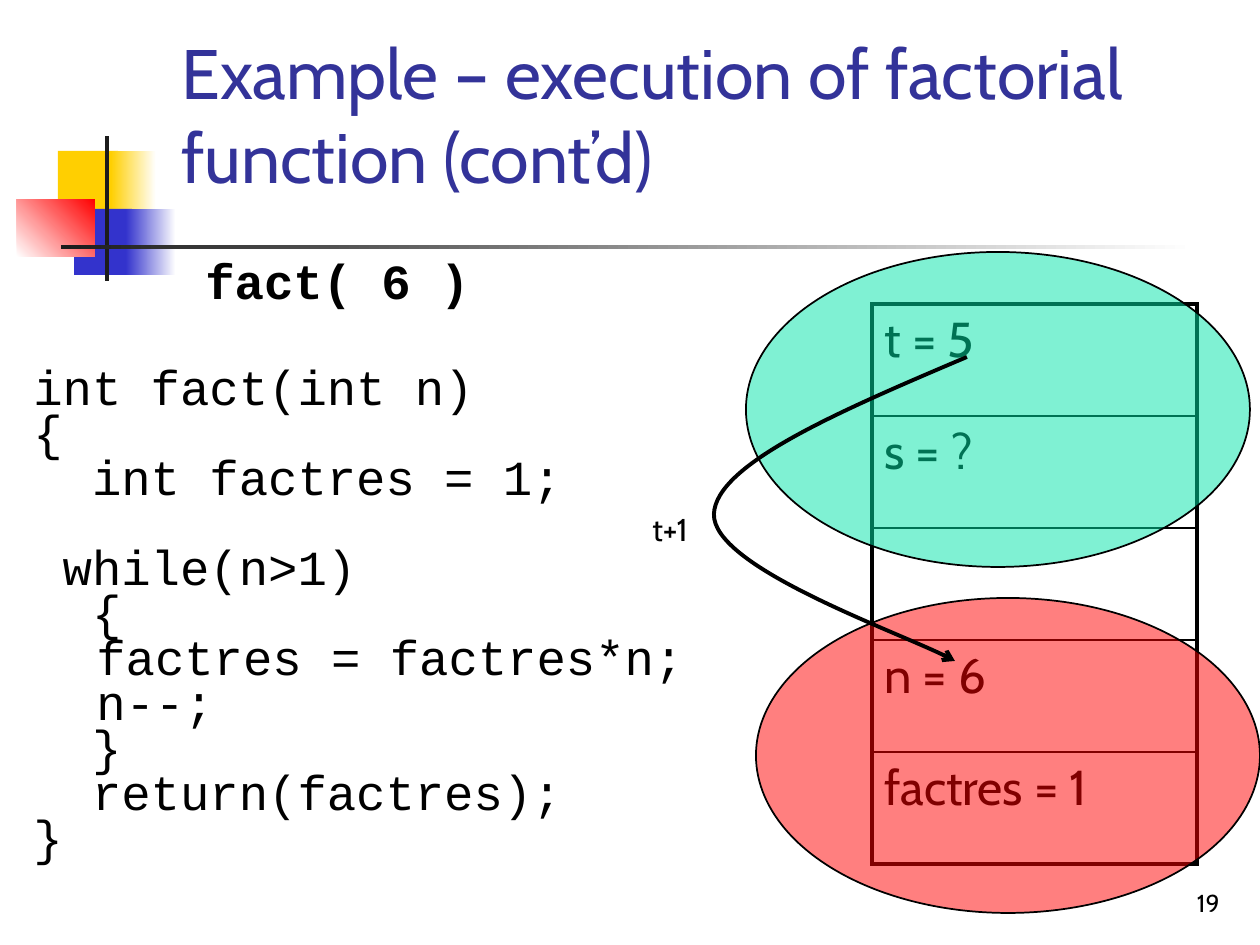
"""Build the slide on running a factorial function."""
from typing import NamedTuple, Optional

import lxml.etree
import pptx
import pptx.dml.color
import pptx.enum.shapes
import pptx.enum.text
import pptx.oxml.ns
import pptx.util

SCALE = 914400 / 126
KIND = pptx.enum.shapes.MSO_SHAPE
ALIGN = pptx.enum.text.PP_ALIGN
ANCHOR = pptx.enum.text.MSO_ANCHOR
LINE = 25.7
qn = pptx.oxml.ns.qn


class Box(NamedTuple):
    left: int
    top: int
    width: int
    height: int


class Block(NamedTuple):
    box: Box
    fill: str
    end: Optional[str] = None
    angle: int = 0


class Oval(NamedTuple):
    box: Box
    fill: str


class Label(NamedTuple):
    box: Box
    text: str
    size: int
    font: str = "Cabin"
    color: str = "000000"
    bold: bool = False
    align: ALIGN = ALIGN.LEFT
    anchor: ANCHOR = ANCHOR.TOP


class Code(NamedTuple):
    text: str
    gap: int = 0


BLOCKS = [
    Block(Box(58, 151, 60, 66), "FFCF01"),
    Block(Box(111, 151, 45, 66), "FFCF01", "FFFFFF"),
    Block(Box(74, 209, 58, 66), "3333CC"),
    Block(Box(126, 209, 50, 66), "3333CC", "FFFFFF"),
    Block(Box(17, 199, 78, 58), "FFFFFF", "FF0000", 45),
    Block(Box(105, 136, 4, 145), "1C1C1C"),
    Block(Box(61, 245, 1134, 4), "1C1C1C", "FFFFFF"),
]
OVALS = [
    Oval(Box(746, 252, 504, 315), "00E4A8"),
    Oval(Box(756, 598, 504, 315), "FF0000"),
]
LABELS = [
    Label(Box(970, 861, 262, 63), "19", 14, align=ALIGN.RIGHT, anchor=ANCHOR.BOTTOM),
    Label(Box(169, 29, 1021, 175), "Example – execution of factorial function (cont’d)",
          40, color="333399", anchor=ANCHOR.BOTTOM),
    Label(Box(640, 504, 147, 50), "t+1", 18),
    Label(Box(193, 244, 378, 72), "fact( 6 )", 28, "Courier New", bold=True),
]
CODE = [
    Code("int fact(int n)"),
    Code("{"),
    Code("  int factres = 1;"),
    Code(" while(n>1)", 1),
    Code("  {"),
    Code("\tfactres = factres*n;"),
    Code("\tn--;"),
    Code("  }"),
    Code("  return(factres);"),
    Code("}"),
]
CODE_BOX = Box(21, 364, 756, 528)
STACK = ["t = 5", "s = ?", "", "n = 6", "factres = 1"]
STACK_BOX = Box(872, 304, 325, 560)
CURVE = [(967, 357), (840, 411), (716, 464), (714, 514), (712, 566), (915, 638), (955, 661)]


def px(num: float) -> int:
    """Turn pixels into EMU."""
    return round(num * SCALE)


def place(box: Box) -> tuple:
    """Give the four lengths of a box in EMU."""
    return tuple(px(num) for num in box)


def rgb(code: str) -> pptx.dml.color.RGBColor:
    """Turn a hex string into a colour."""
    return pptx.dml.color.RGBColor.from_string(code)


def write(para, text: str, size: int, font: str = "Cabin",
          color: str = "000000", bold: bool = False) -> None:
    """Add one styled run to a paragraph."""
    run = para.add_run()
    run.text = text
    run.font.size = pptx.util.Pt(size)
    run.font.name = font
    run.font.bold = bold
    run.font.color.rgb = rgb(color)


def ink(shape, width: float) -> None:
    """Give a shape a black outline."""
    shape.line.color.rgb = rgb("000000")
    shape.line.width = pptx.util.Pt(width)


def draw_block(slide, block: Block) -> None:
    """Draw a plain or fading rectangle."""
    shape = slide.shapes.add_shape(KIND.RECTANGLE, *place(block.box))
    shape.shadow.inherit = False
    shape.line.fill.background()
    if block.end is None:
        shape.fill.solid()
        shape.fill.fore_color.rgb = rgb(block.fill)
        return
    shape.fill.gradient()
    shape.fill.gradient_angle = block.angle
    for stop, color in zip(shape.fill.gradient_stops, (block.fill, block.end)):
        stop.color.rgb = rgb(color)


def draw_oval(slide, oval: Oval) -> None:
    """Draw a half clear ellipse."""
    shape = slide.shapes.add_shape(KIND.OVAL, *place(oval.box))
    shape.shadow.inherit = False
    shape.fill.solid()
    shape.fill.fore_color.rgb = rgb(oval.fill)
    color = shape._element.spPr.find(qn("a:solidFill"))[0]
    lxml.etree.SubElement(color, qn("a:alpha"), val="50000")
    ink(shape, 1)


def draw_label(slide, label: Label) -> None:
    """Draw one line or title of text."""
    frame = slide.shapes.add_textbox(*place(label.box)).text_frame
    frame.word_wrap = True
    frame.vertical_anchor = label.anchor
    para = frame.paragraphs[0]
    para.alignment = label.align
    write(para, label.text, label.size, label.font, label.color, label.bold)


def draw_code(slide, box: Box, lines: list[Code]) -> None:
    """Draw the code listing at an even pitch."""
    frame = slide.shapes.add_textbox(*place(box)).text_frame
    frame.word_wrap = True
    for num, line in enumerate(lines):
        para = frame.add_paragraph() if num else frame.paragraphs[0]
        para.line_spacing = pptx.util.Pt(LINE)
        para.space_before = pptx.util.Pt(LINE * line.gap)
        write(para, line.text, 28, "Courier New")


def edge(cell, side: str, width: float) -> None:
    """Add one black border to a cell."""
    props = cell._tc.get_or_add_tcPr()
    line = lxml.etree.SubElement(props, qn(f"a:ln{side}"), w=str(pptx.util.Pt(width)))
    fill = lxml.etree.SubElement(line, qn("a:solidFill"))
    lxml.etree.SubElement(fill, qn("a:srgbClr"), val="000000")


def draw_stack(slide, box: Box, texts: list[str]) -> None:
    """Draw the memory stack as a table."""
    table = slide.shapes.add_table(len(texts), 1, *place(box)).table
    table.first_row = table.horz_banding = False
    last = len(texts) - 1
    for num, text in enumerate(texts):
        cell = table.cell(num, 0)
        edge(cell, "L", 2.25)
        edge(cell, "R", 2.25)
        edge(cell, "T", 2.25 if num == 0 else 1)
        edge(cell, "B", 2.25 if num == last else 1)
        cell.fill.background()
        if text:
            write(cell.text_frame.paragraphs[0], text, 28)


def draw_curve(slide, points: list[tuple[int, int]]) -> None:
    """Draw a curved arrow through Bezier points."""
    spots = [(px(x), px(y)) for x, y in points]
    form = slide.shapes.build_freeform(*spots[0])
    form.add_line_segments(spots[1:], close=False)
    shape = form.convert_to_shape()
    shape.shadow.inherit = False
    shape.fill.background()
    ink(shape, 2.25)
    props = shape._element.spPr
    steps = list(props.iter(qn("a:lnTo")))
    for first in range(0, len(steps), 3):
        curve = lxml.etree.SubElement(steps[first].getparent(), qn("a:cubicBezTo"))
        for step in steps[first:first + 3]:
            curve.append(step[0])
            step.getparent().remove(step)
    lxml.etree.SubElement(props.find(qn("a:ln")), qn("a:tailEnd"), type="arrow")


def main() -> None:
    """Build and save the slide."""
    deck = pptx.Presentation()
    deck.slide_width, deck.slide_height = px(1260), px(945)
    slide = deck.slides.add_slide(deck.slide_layouts[6])
    for block in BLOCKS:
        draw_block(slide, block)
    draw_code(slide, CODE_BOX, CODE)
    draw_stack(slide, STACK_BOX, STACK)
    for oval in OVALS:
        draw_oval(slide, oval)
    draw_curve(slide, CURVE)
    for label in LABELS:
        draw_label(slide, label)
    deck.save("out.pptx")


if __name__ == "__main__":
    main()
